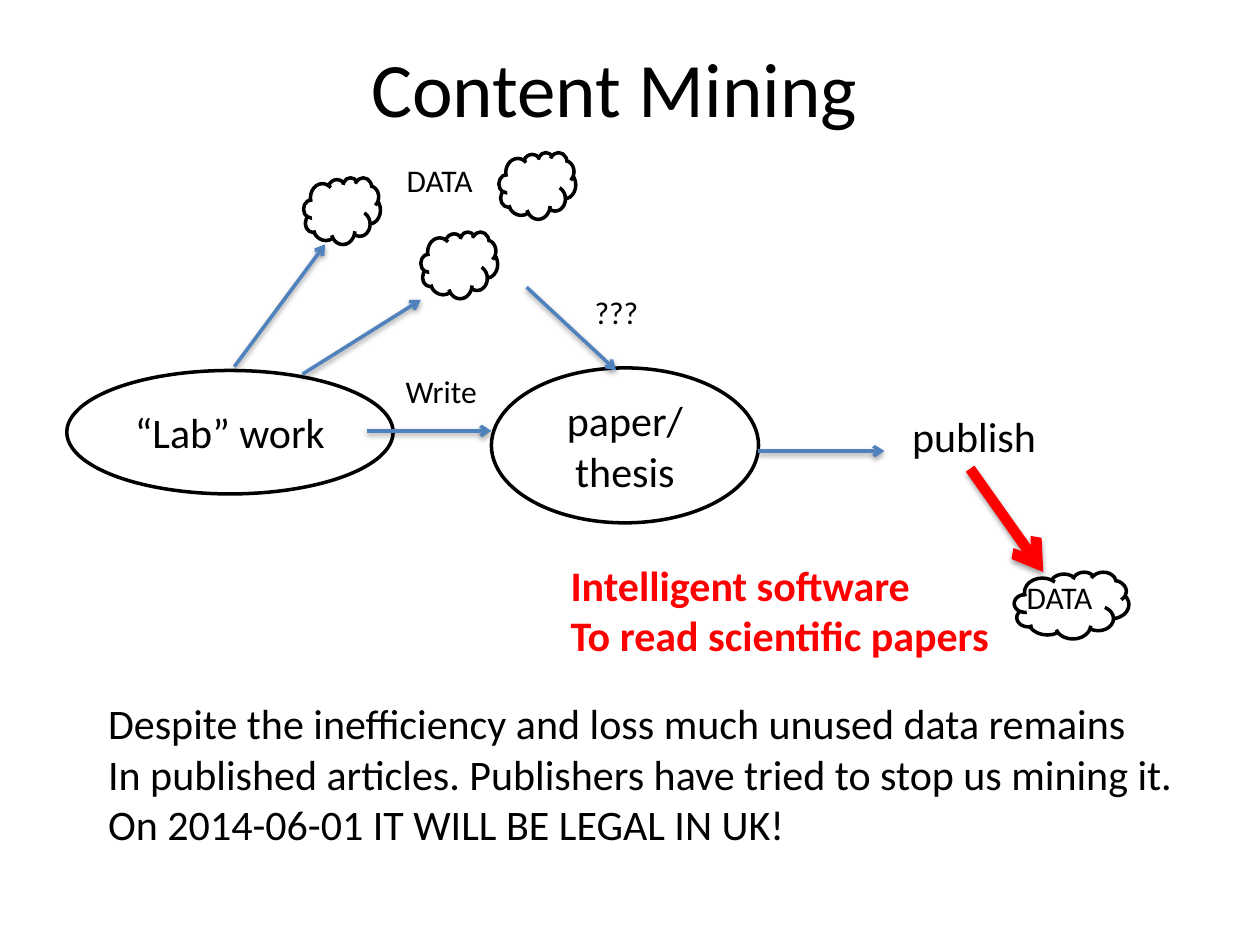
from pptx import Presentation
from pptx.dml.color import RGBColor
from pptx.enum.shapes import MSO_CONNECTOR, MSO_SHAPE
from pptx.enum.text import MSO_ANCHOR, MSO_AUTO_SIZE, PP_ALIGN
from pptx.oxml.ns import qn
from pptx.util import Inches, Pt
from lxml import etree

STRAIGHT = MSO_CONNECTOR.STRAIGHT
ELLIPSE, CLOUD = MSO_SHAPE.OVAL, MSO_SHAPE.CLOUD
MIDDLE = MSO_ANCHOR.MIDDLE
CENTER, LEFT = PP_ALIGN.CENTER, PP_ALIGN.LEFT
FIT_TEXT = MSO_AUTO_SIZE.SHAPE_TO_FIT_TEXT

BLACK = RGBColor(0x00, 0x00, 0x00)
WHITE = RGBColor(0xFF, 0xFF, 0xFF)
BLUE = RGBColor(0x4F, 0x81, 0xBD)
RED = RGBColor(0xFF, 0x00, 0x00)
FONT = "Calibri"
CLOUD_SIZE = (0.61, 0.53)


def inches(*values):
    return [Inches(value) for value in values]


def write(frame, text, size, color=BLACK, align=LEFT, bold=False):
    frame.text = text
    for paragraph in frame.paragraphs:
        paragraph.alignment = align
        font = paragraph.font
        font.name, font.size, font.bold = FONT, Pt(size), bold
        font.color.rgb = color


def add_label(slide, box, text, size=18, color=BLACK, bold=False, wrap=False):
    frame = slide.shapes.add_textbox(*inches(*box)).text_frame
    frame.word_wrap = wrap
    frame.auto_size = FIT_TEXT
    write(frame, text, size, color, bold=bold)


def add_outlined(slide, kind, box, text=""):
    outlined = slide.shapes.add_shape(kind, *inches(*box))
    outlined.shadow.inherit = False
    outlined.fill.solid()
    outlined.fill.fore_color.rgb = WHITE
    outlined.line.color.rgb = BLACK
    outlined.line.width = Pt(2)
    if text:
        outlined.text_frame.vertical_anchor = MIDDLE
        write(outlined.text_frame, text, 24, align=CENTER)


def add_arrow(slide, start, end, color=BLUE, width=2):
    arrow = slide.shapes.add_connector(STRAIGHT, *inches(*start, *end))
    arrow.line.color.rgb = color
    arrow.line.width = Pt(width)
    etree.SubElement(arrow.line._get_or_add_ln(), qn("a:tailEnd"), type="arrow")


def add_title(slide, box):
    title = slide.shapes.title
    title.left, title.top, title.width, title.height = inches(*box)
    title.text_frame.vertical_anchor = MIDDLE
    write(title.text_frame, "Content Mining ", 44, align=CENTER)


def add_lab_data(slide, left, top):
    for dx, dy in [(0, 0.2), (0.93, 0.63), (1.55, 0)]:
        add_outlined(slide, CLOUD, (left + dx, top + dy, *CLOUD_SIZE))
    add_label(slide, (left + 0.72, top + 0.02, 0.77, 0.4), "DATA")


def add_publishing_flow(slide, left, top):
    add_outlined(slide, ELLIPSE, (left, top + 0.04, 2.59, 0.98), "“Lab” work")
    add_outlined(slide, ELLIPSE, (left + 3.37, top + 0.02, 2.12, 1.23), "paper/thesis")
    add_label(slide, (left + 2.59, top, 0.78, 0.4), "Write")
    add_label(slide, (left + 4.09, top - 0.62, 0.55, 0.4), "???")
    add_label(slide, (left + 6.61, top + 0.31, 1.7, 0.5), "publish", 24, wrap=True)
    for x1, y1, x2, y2 in [
        (2.38, 0.52, 3.37, 0.52),
        (5.49, 0.68, 6.49, 0.68),
        (1.33, 0.01, 2.05, -0.96),
        (1.87, 0.07, 2.81, -0.52),
        (3.65, -0.62, 4.36, 0.04),
    ]:
        add_arrow(slide, (left + x1, top + y1), (left + x2, top + y2))


def add_mining(slide, left, top):
    cloud_left, cloud_top = left + 3.62, top + 0.82
    add_outlined(slide, CLOUD, (cloud_left, cloud_top, 0.91, 0.53))
    add_arrow(slide, (left + 3.27, top), (left + 3.85, cloud_top), RED, 6)
    add_label(slide, (left, top + 0.67, 3.6, 0.91),
              "Intelligent software\nTo read scientific papers", 24, RED, bold=True)
    add_label(slide, (cloud_left, cloud_top, 0.77, 0.4), "DATA")


def add_conclusion(slide, box):
    add_label(
        slide, box,
        "Despite the inefficiency and loss much unused data remains\n"
        "In published articles. Publishers have tried to stop us mining it.\n"
        "On 2014-06-01 IT WILL BE LEGAL IN UK!",
        24, wrap=True)


def main():
    deck = Presentation()
    deck.slide_width, deck.slide_height = inches(10, 7.5)
    slide = deck.slides.add_slide(deck.slide_layouts[5])
    add_title(slide, (0.6, 0.19, 8.69, 0.99))
    add_lab_data(slide, 2.41, 1.21)
    add_publishing_flow(slide, 0.53, 2.9)
    add_mining(slide, 4.43, 3.72)
    add_conclusion(slide, (0.76, 5.49, 9.08, 1.31))
    deck.save("out.pptx")


if __name__ == "__main__":
    main()
